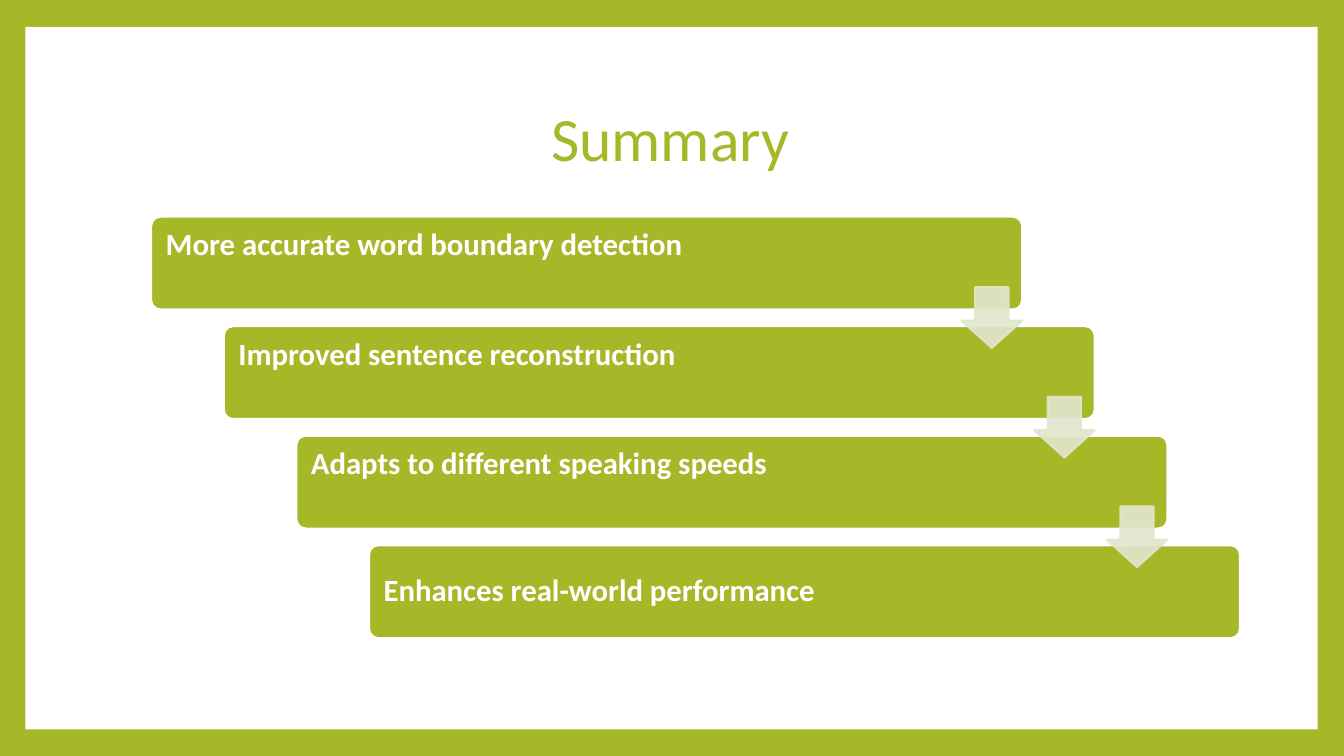
from pptx import Presentation
from pptx.dml.color import RGBColor
from pptx.enum.shapes import MSO_SHAPE as Shape
from pptx.enum.text import MSO_ANCHOR as Anchor, PP_ALIGN as Align
from pptx.oxml.ns import qn
from pptx.util import Cm, Pt
from lxml.etree import SubElement

GREEN = RGBColor(0xA6, 0xB7, 0x27)
PALE = RGBColor(0xE1, 0xE6, 0xCD)
WHITE = RGBColor(0xFF, 0xFF, 0xFF)

POINTS = [
    "More accurate word boundary detection",
    "Improved sentence reconstruction",
    "Adapts to different speaking speeds",
    "Enhances real-world performance",
]
STEP_X, STEP_Y = 1.83, 2.76


class SummaryPage:
    font_name = "Calibri"

    def __init__(self, deck):
        self.page = deck.slides.add_slide(deck.slide_layouts[6])
        fill = self.page.background.fill
        fill.solid()
        fill.fore_color.rgb = GREEN

    def shape(self, kind, left, top, width, height, color, line=None, adjustments=()):
        shape = self.page.shapes.add_shape(kind, Cm(left), Cm(top), Cm(width), Cm(height))
        shape.shadow.inherit = False
        shape.fill.solid()
        shape.fill.fore_color.rgb = color
        if line is None:
            shape.line.fill.background()
        else:
            shape.line.color.rgb = line
            shape.line.width = Pt(1.5)
        for index, value in enumerate(adjustments):
            shape.adjustments[index] = value
        return shape

    def set_text(self, box, text, size, color, align, anchor, bold=False):
        frame = box.text_frame
        frame.word_wrap = True
        frame.vertical_anchor = anchor
        para = frame.paragraphs[0]
        para.text = text
        para.alignment = align
        para.line_spacing = 0.9
        font = para.font
        font.name, font.size, font.bold = self.font_name, Pt(size), bold
        font.color.rgb = color
        return frame

    def title(self, text):
        box = self.page.shapes.add_textbox(Cm(3.18), Cm(1.7), Cm(27.43), Cm(3.76))
        self.set_text(box, text, 44, GREEN, Align.CENTER, Anchor.MIDDLE)

    def bar(self, left, top, text, anchor):
        bar = self.shape(Shape.ROUNDED_RECTANGLE, left, top, 21.95, 2.34,
                         GREEN, WHITE, [0.1])
        frame = self.set_text(bar, text, 22, WHITE, Align.LEFT, anchor, bold=True)
        frame.margin_left = Cm(0.3)
        frame.margin_top = frame.margin_bottom = Cm(0.25)

    def arrow(self, left, top):
        """Draw a down arrow whose fill and line are 90% opaque."""
        arrow = self.shape(Shape.DOWN_ARROW, left, top, 1.53, 1.53,
                           PALE, PALE, [0.55, 0.45])
        for color in arrow._element.spPr.iter(qn("a:srgbClr")):
            SubElement(color, qn("a:alpha"), val="90000")


def main():
    deck = Presentation()
    deck.slide_width, deck.slide_height = Cm(33.87), Cm(19.05)
    summary = SummaryPage(deck)
    summary.shape(Shape.RECTANGLE, 0.64, 0.68, 32.57, 17.7, WHITE)
    summary.title("Summary")
    last = len(POINTS) - 1
    for index, text in enumerate(POINTS):
        anchor = Anchor.MIDDLE if index == last else Anchor.TOP
        summary.bar(3.81 + index * STEP_X, 5.46 + index * STEP_Y, text, anchor)
    for index in range(last):
        summary.arrow(24.23 + index * STEP_X, 7.24 + index * STEP_Y)
    deck.save("out.pptx")


if __name__ == "__main__":
    main()
